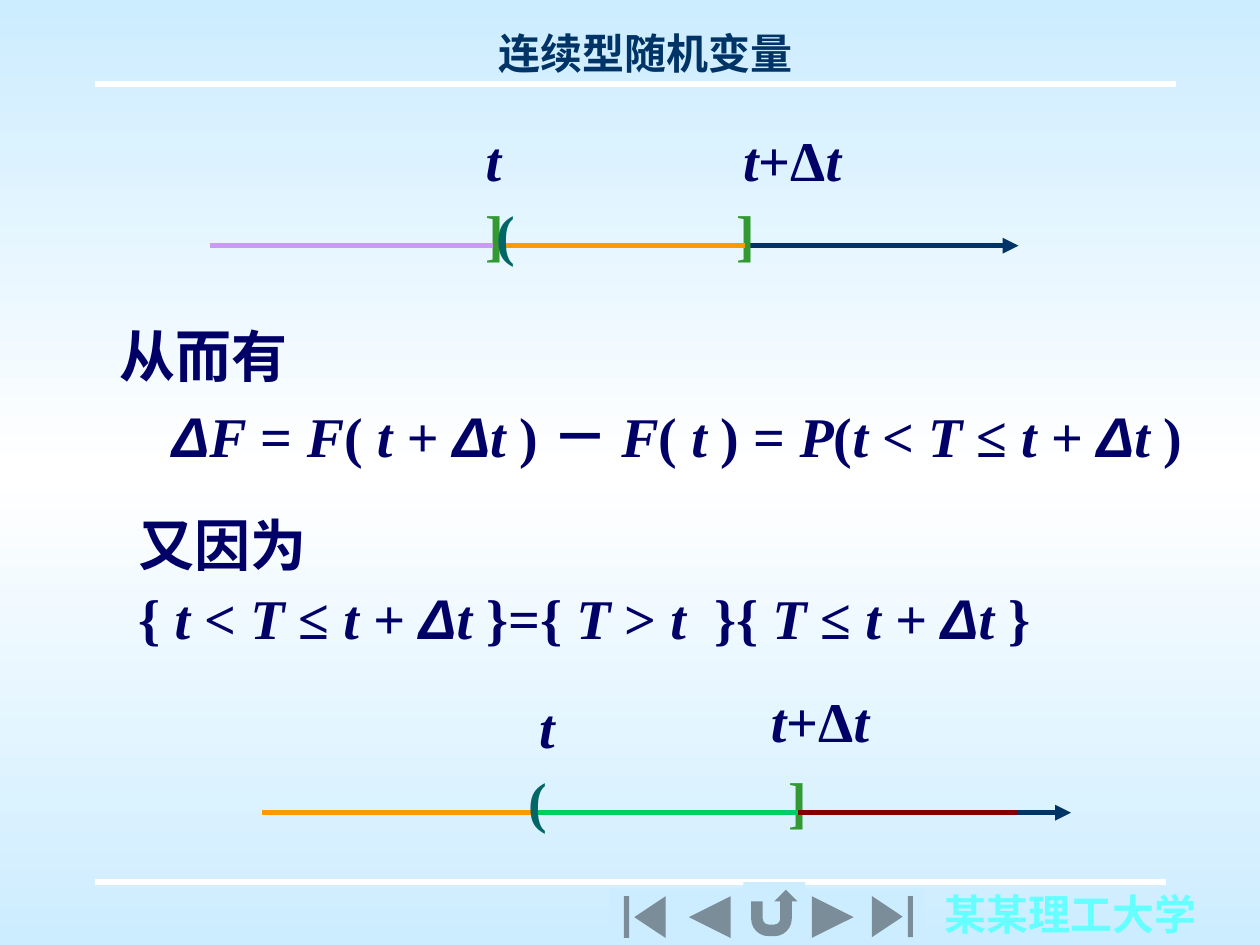
from copy import deepcopy
from itertools import groupby
from lxml.etree import SubElement
from pptx import Presentation
from pptx.dml.color import RGBColor
from pptx.enum.shapes import MSO_CONNECTOR, MSO_SHAPE
from pptx.enum.text import MSO_ANCHOR, MSO_AUTO_SIZE, PP_ALIGN
from pptx.oxml.ns import qn
from pptx.util import Inches, Pt

COLS, ROWS = 120, 90
LATIN, GREEK, HAN = "Times New Roman", "Arial", "Noto Sans CJK SC"
HUES = {
    "sky": "CCECFF", "white": "FFFFFF", "navy": "003366", "ink": "000066",
    "aqua": "66FFFF", "leaf": "339933", "teal": "006666", "lilac": "CC99FF",
    "gold": "FF9900", "wine": "800000", "mint": "00CC66",
}

TITLE = " 连续型随机变量"
SCHOOL = "某某理工大学"
PROOF = [
    ((9, 30, 111, 15.4), [
        ("* *从而有", PP_ALIGN.LEFT, 1, 0),
        ("*ΔF* = *F*( *t + Δt *) － *F*( *t *) = *P*(*t* < *T *≤ *t + Δt *)",
         PP_ALIGN.CENTER, 1.2, 0),
    ]),
    ((12, 47.4, 101, 14.8), [
        ("又因为", PP_ALIGN.LEFT, 1.1, 20),
        ("{ *t* < *T *≤ *t + Δt *}={ *T* > *t  *}{ *T *≤ *t + Δt *}",
         PP_ALIGN.LEFT, 0.5, 20),
    ]),
]
RULES = [(9, 111, 84), (9, 112, 8)]
AXES = [(20, 97, 23.4), (25, 102, 77.4)]
SPANS = [
    (25, 76, 77.4, "gold"), (20, 47, 23.4, "lilac"), (48, 71, 23.4, "gold"),
    (51.1, 97, 77.4, "wine"), (51.1, 76, 77.4, "mint"),
]
LABELS = [
    ("*t*", 45.1, 11.4, 3.8, "ink"), ("*t*+Δ*t*", 67.3, 11.4, 16.3, "ink"),
    ("*t*", 50.2, 65.4, 3.8, "ink"), ("*t*+Δ*t*", 68.2, 64.8, 19.8, "ink"),
    ("]", 68.9, 18.4, 4.2, "leaf"), ("]", 45, 18.4, 4.2, "leaf"),
    ("]", 73.9, 72.4, 4.2, "leaf"),
]
OPENS = [("(", 46.1, 18.4, 4.2, "teal"), ("(", 49.1, 72.4, 4.2, "teal")]
BUTTONS = [
    (MSO_SHAPE.ACTION_BUTTON_BEGINNING, 58, 84.7, 6.8, 5.3),
    (MSO_SHAPE.ACTION_BUTTON_BACK_OR_PREVIOUS, 64.4, 84.7, 6.4, 5.3),
    (MSO_SHAPE.ACTION_BUTTON_FORWARD_OR_NEXT, 76.6, 84.7, 5.4, 5.3),
    (MSO_SHAPE.ACTION_BUTTON_END, 82, 84.7, 6, 5.2),
    (MSO_SHAPE.ACTION_BUTTON_RETURN, 70.8, 84, 5.9, 5.9),
]

deck = Presentation()
deck.slide_width, deck.slide_height = Inches(10), Inches(7.5)
slide = deck.slides.add_slide(deck.slide_layouts[3])
shapes = slide.shapes


def hue(name):
    return RGBColor.from_string(HUES[name])


def grid(*spots):
    units = (deck.slide_width / COLS, deck.slide_height / ROWS)
    return [round(spot * units[i % 2]) for i, spot in enumerate(spots)]


def place(shape, box):
    shape.left, shape.top, shape.width, shape.height = grid(*box)


def write(par, text, size, color, align, lead=1, gap=0):
    par.alignment, par.line_spacing, par.space_before = align, lead, Pt(gap)
    par.font.size, par.font.bold = Pt(size), True
    par.font.color.rgb = hue(color)
    for i, piece in enumerate(text.split("*")):
        slant = i % 2 == 1
        for greek, marks in groupby(piece, lambda c: slant and c == "Δ"):
            run = par.add_run()
            run.text = "".join(marks)
            run.font.size, run.font.bold = Pt(size), True
            run.font.italic = slant
            run.font.color.rgb = hue(color)
            run.font.name = GREEK if greek else LATIN
            SubElement(run.font._element, qn("a:ea"), typeface=HAN)


def frame(shape, wrap=True):
    body = shape.text_frame
    body.auto_size, body.word_wrap = MSO_AUTO_SIZE.NONE, wrap
    body.vertical_anchor = MSO_ANCHOR.TOP
    return body


def label(text, box, size, color, align, wrap=False, gap=0):
    body = frame(shapes.add_textbox(*grid(*box)), wrap)
    write(body.paragraphs[0], text, size, color, align, gap=gap)


def line(start, end, row, color, arrow=False):
    link = shapes.add_connector(MSO_CONNECTOR.STRAIGHT, *grid(start, row, end, row))
    link.line.color.rgb, link.line.width = hue(color), Pt(3)
    props = link._element.spPr
    if arrow:
        SubElement(props.find(qn("a:ln")), qn("a:tailEnd"), type="triangle")
    SubElement(props, qn("a:effectLst"))


def mark(items):
    for text, left, top, width, color in items:
        label(text, (left, top, width, 7.7), 32, color, PP_ALIGN.CENTER,
              wrap=width > 5, gap=20)


back = slide.background.fill
back.gradient()
back.gradient_angle = 90
stops = next(slide.element.iter(qn("a:gsLst")))
stops.insert(1, deepcopy(stops[0]))
for stop, part, name in zip(back.gradient_stops, (0, 0.5, 1), ("sky", "white", "sky")):
    stop.position, stop.color.rgb = part, hue(name)

head, *bodies = slide.placeholders
place(head, (37, 2, 48, 5.5))
body = frame(head)
body.margin_bottom = Inches(0.01)
write(body.paragraphs[0], TITLE, 24, "navy", PP_ALIGN.CENTER, gap=15)

for holder, (box, rows) in zip(bodies, PROOF):
    place(holder, box)
    body = frame(holder)
    for i, (text, align, lead, gap) in enumerate(rows):
        par = body.add_paragraph() if i else body.paragraphs[0]
        write(par, text, 32, "ink", align, lead, gap)
        props = par._p.get_or_add_pPr()
        props.set("marL", "0")
        props.set("indent", "0")
        props.insert_element_before(
            props.makeelement(qn("a:buNone"), {}), "a:tabLst", "a:defRPr")

for rule in RULES:
    line(*rule, "white")
label(SCHOOL, (88.8, 84, 26.4, 6), 24, "aqua", PP_ALIGN.LEFT)
for axis in AXES:
    line(*axis, "navy", arrow=True)
mark(LABELS)
for span in SPANS:
    line(*span)
for kind, *box in BUTTONS:
    key = shapes.add_shape(kind, *grid(*box))
    key.shadow.inherit = False
    key.fill.solid()
    key.fill.fore_color.rgb = hue("sky")
    key.line.fill.background()
mark(OPENS)

deck.save("out.pptx")
